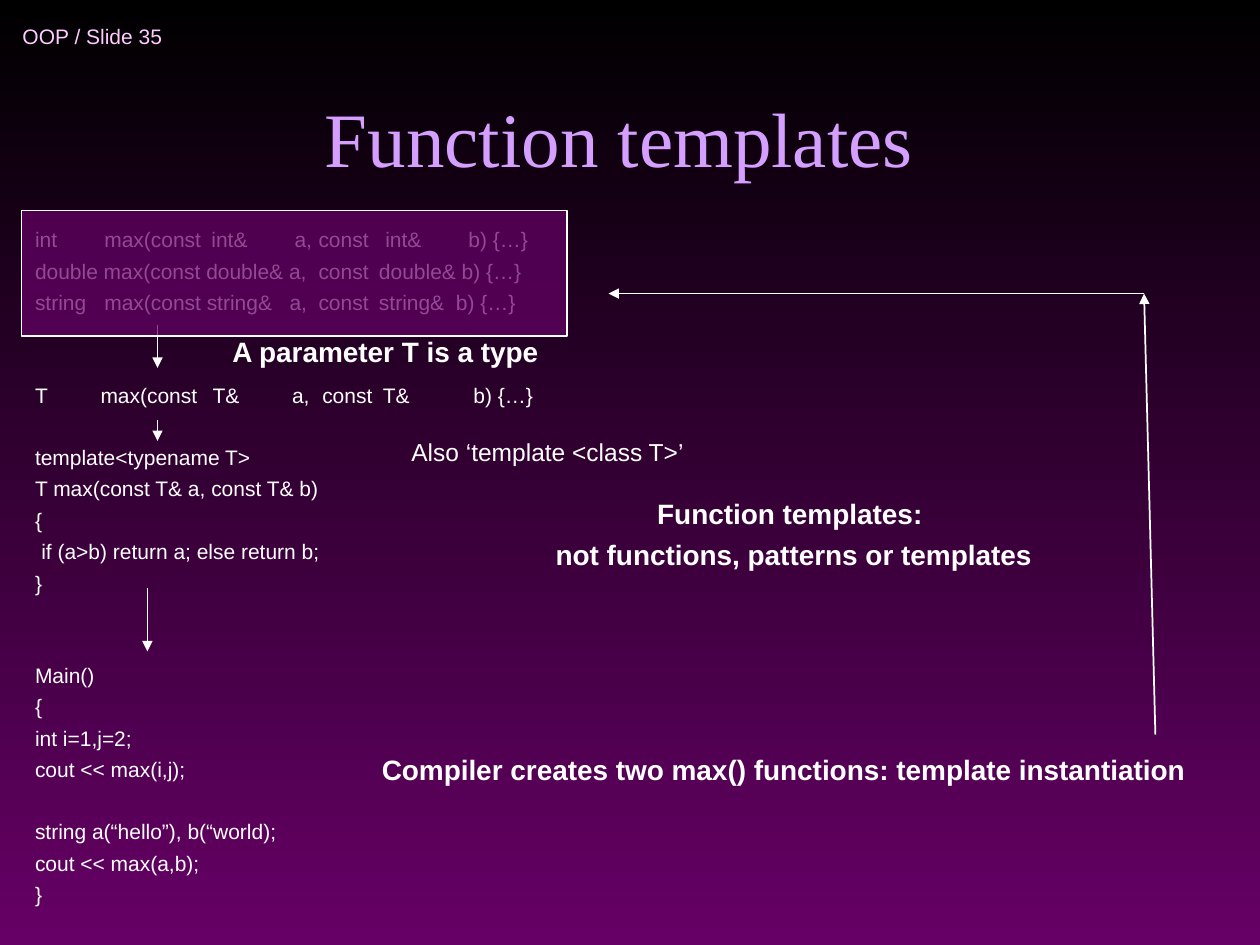
from lxml import etree
from pptx import Presentation
from pptx.dml.color import RGBColor
from pptx.enum import shapes, text
from pptx.oxml.ns import qn
from pptx.util import Inches, Pt

WHITE = "FFFFFF"
PURPLE = "660066"
LINE_PITCH = 17.4
LINE_GAP = 3.6

# text, tab stops, blank lines above, left indent
CODE = [
    ("int\tmax(const\tint&\ta,\tconst\tint&\tb) {…}", (0.55, 1.4, 2.06, 2.25, 2.78, 3.44), 0, 0),
    ("double max(const double& a,\tconst\tdouble& b) {…}", (2.25, 2.73), 0, 0),
    ("string\tmax(const string&\ta,\tconst\tstring&\tb) {…}", (0.55, 2.02, 2.25, 2.73, 3.34), 0, 0),
    ("T\tmax(const\tT&\ta,\tconst\tT&\tb) {…}", (0.52, 1.41, 2.04, 2.28, 2.76, 3.48), 2, 0),
    ("template<typename T>", (), 1, 0),
    ("T max(const T& a, const T& b)", (), 0, 0),
    ("{", (), 0, 0),
    ("if (a>b) return a; else return b;", (), 0, 0.05),
    ("}", (), 0, 0),
    ("Main()", (), 2, 0),
    ("{", (), 0, 0),
    ("int i=1,j=2;", (), 0, 0),
    ("cout << max(i,j);", (), 0, 0),
    ("string a(“hello”), b(“world);", (), 1, 0),
    ("cout << max(a,b);", (), 0, 0),
    ("}", (), 0, 0),
]

# lines, box, size, bold, space before
NOTES = [
    (["A parameter T is a type "], (1.74, 2.61, 2.7, 0.37), 16, True, 4.5),
    (["Also ‘template <class T>’ "], (3.16, 3.42, 2.42, 0.34), 14, False, 4),
    (["Function templates: ", "not functions, patterns or templates"],
     (4.31, 3.89, 3.98, 0.69), 16, True, 4.5),
    (["Compiler creates two max() functions: template instantiation"],
     (2.93, 5.92, 6.58, 0.37), 16, True, 4.5),
]

ARROWS = [
    (1.25, 2.58, 1.25, 2.92),
    (1.25, 3.33, 1.25, 3.5),
    (1.17, 4.67, 1.17, 5.17),
    (9.17, 5.83, 9.08, 2.33),
    (9.08, 2.33, 4.83, 2.33),
]


def rgb(value):
    """Return the colour for a hex string."""
    return RGBColor.from_string(value)


def inches(values):
    """Return each length in inches."""
    return [Inches(v) for v in values]


def style(p, size, color, name="Arial", bold=False):
    """Set the font of a paragraph."""
    p.font.size, p.font.name, p.font.bold = Pt(size), name, bold
    p.font.color.rgb = rgb(color)


def add_background(slide):
    """Fill the background from black down to purple."""
    fill = slide.background.fill
    fill.gradient()
    fill.gradient_angle = 270
    for stop, color in zip(fill.gradient_stops, ("000000", PURPLE)):
        stop.color.rgb = rgb(color)


def add_title(slide, words):
    """Place and format the title."""
    sp = slide.shapes.title
    sp.left, sp.top, sp.width, sp.height = inches((0, 0.42, 9.83, 1.08))
    tf = sp.text_frame
    tf.text = words
    tf.vertical_anchor = text.MSO_ANCHOR.BOTTOM
    p = tf.paragraphs[0]
    p.alignment = text.PP_ALIGN.CENTER
    style(p, 44, "D49FFF", "Times New Roman")


def add_text(slide, lines, box, size, color=WHITE, bold=False, before=0, align=text.PP_ALIGN.CENTER):
    """Add a text box with one paragraph per line."""
    tf = slide.shapes.add_textbox(*inches(box)).text_frame
    tf.word_wrap = False
    tf.auto_size = text.MSO_AUTO_SIZE.SHAPE_TO_FIT_TEXT
    tf.text = "\n".join(lines)
    for p in tf.paragraphs:
        p.alignment, p.space_before = align, Pt(before)
        style(p, size, color, bold=bold)
    return tf


def add_code(slide, rows, box):
    """Add the code listing with its tab stops, gaps and indents."""
    lines = [row[0] for row in rows]
    tf = add_text(slide, lines, box, 12, align=text.PP_ALIGN.LEFT)
    tf.word_wrap = True
    tf.auto_size = text.MSO_AUTO_SIZE.NONE
    for p, (_, stops, blanks, indent) in zip(tf.paragraphs, rows):
        p.space_before = Pt(LINE_GAP + blanks * LINE_PITCH)
        pPr = p._p.get_or_add_pPr()
        pPr.set("marL", str(Inches(indent)))
        if stops:
            tabs = etree.Element(qn("a:tabLst"))
            for stop in stops:
                etree.SubElement(tabs, qn("a:tab"), pos=str(Inches(stop)), algn="l")
            pPr.find(qn("a:spcBef")).addnext(tabs)


def add_arrow(slide, ends):
    """Add a white line with an arrowhead at its end."""
    line = slide.shapes.add_connector(shapes.MSO_CONNECTOR.STRAIGHT, *inches(ends))
    line.line.color.rgb = rgb(WHITE)
    line.line.width = Pt(1)
    etree.SubElement(line.line._get_or_add_ln(), qn("a:tailEnd"), type="triangle")
    etree.SubElement(line._element.spPr, qn("a:effectLst"))


def add_veil(slide, box, opacity):
    """Add the translucent rectangle over the first functions."""
    sp = slide.shapes.add_shape(shapes.MSO_SHAPE.RECTANGLE, *inches(box))
    sp.shadow.inherit = False
    sp.fill.solid()
    sp.fill.fore_color.rgb = rgb(PURPLE)
    color = sp._element.spPr.find(qn("a:solidFill"))[0]
    etree.SubElement(color, qn("a:alpha"), val=str(opacity * 1000))
    sp.line.color.rgb = rgb(WHITE)
    sp.line.width = Pt(1)


def main():
    """Build the slide and save it."""
    prs = Presentation()
    prs.slide_width, prs.slide_height = inches((10, 7.5))
    slide = prs.slides.add_slide(prs.slide_layouts[5])
    add_background(slide)
    header = add_text(slide, ["OOP / Slide 35"], (0.08, 0.08, 2.75, 0.42), 12, "FFCCFF",
                      align=text.PP_ALIGN.LEFT)
    header.word_wrap = True
    header.auto_size = text.MSO_AUTO_SIZE.NONE
    header.vertical_anchor = text.MSO_ANCHOR.MIDDLE
    add_title(slide, "Function templates")
    add_code(slide, CODE, (0.18, 1.75, 4.3, 5.42))
    for lines, box, size, bold, before in NOTES:
        add_text(slide, lines, box, size, bold=bold, before=before)
    for ends in ARROWS:
        add_arrow(slide, ends)
    add_veil(slide, (0.17, 1.67, 4.33, 1), 71)
    prs.save("out.pptx")


if __name__ == "__main__":
    main()
